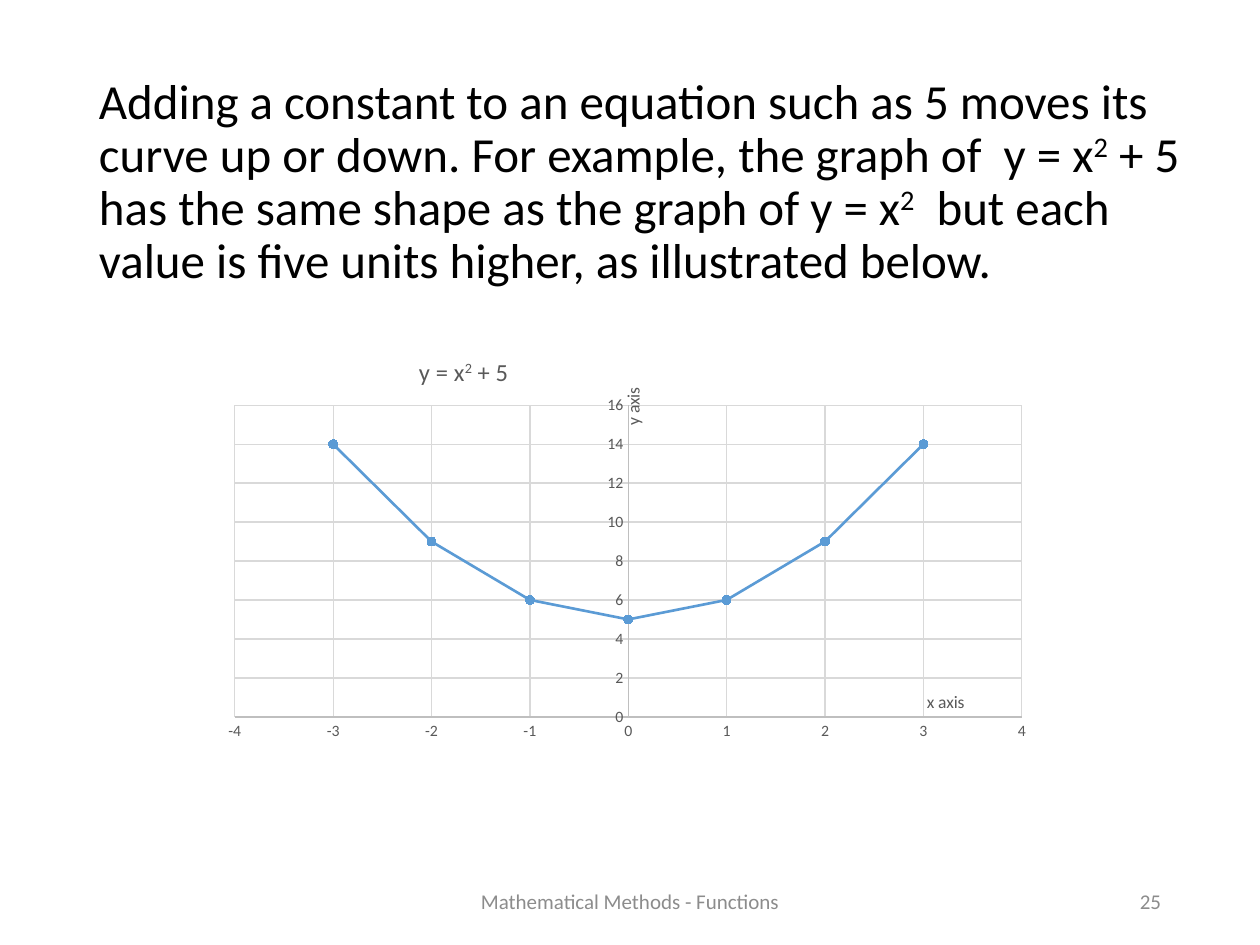
from lxml import etree
from pptx import Presentation
from pptx.chart.data import XyChartData
from pptx.dml.color import RGBColor
from pptx.enum.chart import XL_CHART_TYPE, XL_MARKER_STYLE, XL_TICK_MARK
from pptx.enum.text import MSO_ANCHOR, PP_ALIGN
from pptx.oxml.ns import qn
from pptx.util import Pt

SMOOTH_SCATTER = XL_CHART_TYPE.XY_SCATTER_SMOOTH
CIRCLE = XL_MARKER_STYLE.CIRCLE
NO_TICK = XL_TICK_MARK.NONE
TOP, MIDDLE = MSO_ANCHOR.TOP, MSO_ANCHOR.MIDDLE
LEFT, CENTER, RIGHT = PP_ALIGN.LEFT, PP_ALIGN.CENTER, PP_ALIGN.RIGHT

FONT = "Calibri"
BLACK, GRAY, FOOTER_GRAY = "000000", "595959", "8C8C8C"
AXIS_GRAY, GRID_GRAY, BLUE = "BFBFBF", "D9D9D9", "5B9BD5"

BODY = (
    "Adding a constant to an equation such as 5 moves its curve up or down. "
    "For example, the graph of  y = x^2^ + 5  has the same shape as the graph of "
    "y = x^2^  but each value is five units higher, as illustrated below."
)


def color(hex_text):
    return RGBColor.from_string(hex_text)


def style_font(font, size, hex_text):
    font.name = FONT
    font.size = Pt(size)
    font.bold = False
    font.color.rgb = color(hex_text)


def write_text(para, text, size=12, fill=BLACK, align=LEFT):
    para.alignment = align
    for index, part in enumerate(text.split("^")):
        span = para.add_run()
        span.text = part
        style_font(span.font, size, fill)
        if index % 2:
            span.font._element.set("baseline", "30000")


def add_text(page, box, text, anchor=TOP, line_spacing=1.0, space_before=0, **style):
    frame = page.shapes.add_textbox(*map(Pt, box)).text_frame
    frame.word_wrap = True
    frame.vertical_anchor = anchor
    para = frame.paragraphs[0]
    para.line_spacing = line_spacing
    para.space_before = Pt(space_before)
    write_text(para, text, **style)


def set_layout(parent, position, inner=False, **fractions):
    for old in parent.findall(qn("c:layout")):
        parent.remove(old)
    layout = etree.Element(qn("c:layout"))
    parent.insert(position, layout)
    manual = etree.SubElement(layout, qn("c:manualLayout"))
    settings = {"layoutTarget": "inner"} if inner else {}
    settings.update(xMode="edge", yMode="edge", **fractions)
    for name, value in settings.items():
        etree.SubElement(manual, qn("c:" + name)).set("val", str(value))


def write_title(title, text, size, x, y, rotation=0):
    frame = title.text_frame
    write_text(frame.paragraphs[0], text, size=size, fill=GRAY, align=CENTER)
    frame._txBody.find(qn("a:bodyPr")).set("rot", str(rotation * 60000))
    set_layout(title._element, 1, x=x, y=y)


def style_line(line, fill, width):
    line.color.rgb = color(fill)
    line.width = Pt(width)


def style_axis(axis, low, high, step):
    axis.minimum_scale, axis.maximum_scale = low, high
    axis.major_unit = step
    axis.major_tick_mark = axis.minor_tick_mark = NO_TICK
    axis.has_major_gridlines = True
    style_line(axis.major_gridlines.format.line, GRID_GRAY, 0.75)
    style_line(axis.format.line, AXIS_GRAY, 0.75)
    style_font(axis.tick_labels.font, 9, GRAY)


def add_curve_chart(page, box):
    chart_data = XyChartData()
    points = chart_data.add_series("Series 1")
    for x in range(-3, 4):
        points.add_data_point(x, x * x + 5)
    chart = page.shapes.add_chart(SMOOTH_SCATTER, *map(Pt, box), chart_data).chart
    style_font(chart.font, 10, BLACK)
    chart.has_legend = False
    chart.has_title = True
    write_title(chart.chart_title, "y = x^2^ + 5", 14, 0.29, 0.05)

    style_axis(chart.category_axis, -4, 4, 1)
    style_axis(chart.value_axis, 0, 16, 2)
    write_title(chart.category_axis.axis_title, "x axis", 10, 0.865, 0.76)
    write_title(chart.value_axis.axis_title, "y axis", 10, 0.52, 0.12, rotation=-90)

    plot = chart.plots[0]
    plot.vary_by_categories = False
    curve = plot.series[0]
    curve.smooth = True
    style_line(curve.format.line, BLUE, 1.5)
    curve.marker.style = CIRCLE
    curve.marker.size = 5
    curve.marker.format.fill.solid()
    curve.marker.format.fill.fore_color.rgb = color(BLUE)
    style_line(curve.marker.format.line, BLUE, 0.75)
    plot_area = chart._chartSpace.chart.plotArea
    set_layout(plot_area, 0, inner=True, x=0.086, y=0.164, w=0.89, h=0.658)


def add_footer(page, box):
    left, top, width, height = box
    style = {"anchor": MIDDLE, "size": 12, "fill": FOOTER_GRAY}
    label_width, number_width = 243, 162
    label_left = left + (width - label_width) / 2
    number_left = left + width - number_width
    add_text(page, (label_left, top, label_width, height),
             "Mathematical Methods - Functions", align=CENTER, **style)
    add_text(page, (number_left, top, number_width, height), "25", align=RIGHT, **style)


def main():
    deck = Presentation()
    deck.slide_width, deck.slide_height = Pt(720), Pt(540)
    page = deck.slides.add_slide(deck.slide_layouts[6])
    add_text(page, (49.5, 40.5, 643, 446.5), BODY, size=28,
             line_spacing=0.9, space_before=10)
    add_curve_chart(page, (90.7, 187.2, 505.4, 270.7))
    add_footer(page, (49.5, 500.5, 621, 28.75))
    deck.save("out.pptx")


if __name__ == "__main__":
    main()
